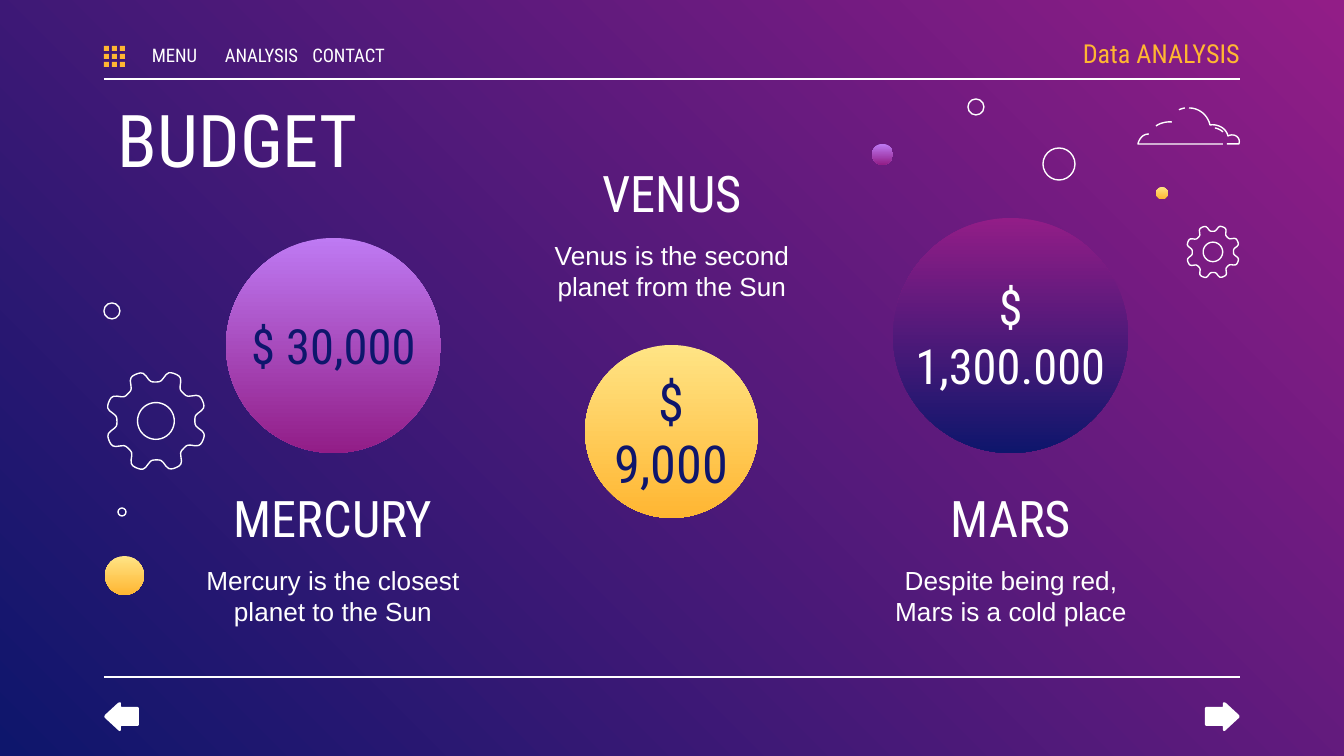
from math import comb, cos, pi, radians, sin, tanh

from lxml import etree
from pptx import Presentation
from pptx import util as u
from pptx.dml.color import RGBColor
from pptx.enum import shapes, text
from pptx.oxml.ns import qn

SCALE = u.Inches(10) / 1344  # EMU in one px

WHITE = RGBColor(0xFF, 0xFF, 0xFF)
NAVY = RGBColor(0x0E, 0x16, 0x6C)
MAGENTA = RGBColor(0x92, 0x1D, 0x87)
LILAC = RGBColor(0xBE, 0x7A, 0xF3)
CREAM = RGBColor(0xFF, 0xE4, 0x85)
AMBER = RGBColor(0xFF, 0xB6, 0x32)

PURPLE_FADE = (LILAC, MAGENTA)
GOLD_FADE = (CREAM, AMBER)
NIGHT_FADE = (MAGENTA, NAVY)

HEAD_FONT, BODY_FONT = "Roboto Condensed", "Arial"
LEFT, CENTER, RIGHT = text.PP_ALIGN.LEFT, text.PP_ALIGN.CENTER, text.PP_ALIGN.RIGHT
TOP, MIDDLE = text.MSO_ANCHOR.TOP, text.MSO_ANCHOR.MIDDLE


def px(*lengths):
    return [u.Emu(round(length * SCALE)) for length in lengths]


def bezier(points, steps=10):
    """Points along a Bezier curve of any degree, without its start."""
    degree = len(points) - 1
    if degree == 1:
        return points[1:]
    curve = []
    for step in range(1, steps + 1):
        t = step / steps
        weights = [comb(degree, i) * t**i * (1 - t) ** (degree - i) for i in range(degree + 1)]
        curve.append(tuple(sum(w * p[axis] for w, p in zip(weights, points)) for axis in (0, 1)))
    return curve


def trace(start, *segments):
    """Join segments, each a list of control points ending on its end point."""
    points = [start]
    for segment in segments:
        points += bezier([points[-1], *segment])
    return points


def ring(x, y, radius_at, steps=144):
    """Closed round contour whose radius depends on the angle."""
    angles = [2 * pi * step / steps for step in range(steps)]
    return [(x + radius_at(a) * cos(a), y + radius_at(a) * sin(a)) for a in angles]


class Sketch:
    def __init__(self, page):
        self.page = page
        self.target = page.shapes

    def group(self):
        self.target = self.page.shapes.add_group_shape().shapes

    def ungroup(self):
        self.target = self.page.shapes

    def fade(self, fill, colors, angle=270):
        fill.gradient()
        fill.gradient_angle = angle
        for stop, color in zip(fill.gradient_stops, colors):
            stop.color.rgb = color

    def paint(self, shape, fill=None, line=None):
        shape.shadow.inherit = False
        if fill is None:
            shape.fill.background()
        elif isinstance(fill, RGBColor):
            shape.fill.solid()
            shape.fill.fore_color.rgb = fill
        else:
            self.fade(shape.fill, fill)
        if line is None:
            shape.line.fill.background()
        else:
            shape.line.color.rgb = line
            shape.line.width = u.Pt(0.75)

    def rule(self, x1, x2, y):
        line = self.target.add_connector(shapes.MSO_CONNECTOR.STRAIGHT, *px(x1, y, x2, y))
        line.line.color.rgb = WHITE
        line.line.width = u.Pt(0.75)
        etree.SubElement(line._element.spPr, qn("a:effectLst"))

    def square(self, x, y, size, fill):
        self.paint(self.target.add_shape(shapes.MSO_SHAPE.RECTANGLE, *px(x, y, size, size)), fill)

    def circle(self, x, y, size, fill=None, line=None):
        self.paint(self.target.add_shape(shapes.MSO_SHAPE.OVAL, *px(x, y, size, size)), fill, line)

    def outline(self, *contours, close=False, fill=None, line=None):
        first, *others = [[px(*point) for point in contour] for contour in contours]
        builder = self.target.build_freeform(*first[0])
        builder.add_line_segments(first[1:], close=close)
        for contour in others:
            builder.move_to(*contour[0])
            builder.add_line_segments(contour[1:], close=close)
        self.paint(builder.convert_to_shape(), fill, line)

    def gear(self, x, y, radius):
        first_tooth = radians(22)

        def rim(angle):
            return radius * (0.88 + 0.12 * tanh(2 * cos(8 * (angle - first_tooth))))

        hole = ring(x, y, lambda angle: radius * 0.36)
        self.outline(ring(x, y, rim), hole, close=True, line=WHITE)

    def arrow(self, x, y, way):
        head = trace(
            (4, 13), [(17, 1)], [(18, 0), (17, -2)], [(4, -14)],
            [(2, -15), (1, -15), (1, -13)], [(1, -11)], [(1, -10), (0, -10)],
            [(-15, -10)], [(-17, -10), (-17, -8)], [(-17, 7)],
            [(-17, 9), (-15, 9)], [(0, 9)], [(1, 9), (1, 10)], [(1, 12)],
            [(1, 14), (2, 15), (4, 13)])
        self.outline([(x + way * dx, y + dy) for dx, dy in head], close=True, fill=WHITE)

    def label(self, words, x, y, width, height, size, color=WHITE, font=HEAD_FONT,
              align=CENTER, anchor=MIDDLE, left=13, right=13):
        box = self.target.add_textbox(*px(x, y, width, height))
        frame = box.text_frame
        frame.word_wrap = True
        frame.auto_size = text.MSO_AUTO_SIZE.NONE
        frame.vertical_anchor = anchor
        frame.margin_left, frame.margin_right = px(left, right)
        frame.margin_top = frame.margin_bottom = px(13)[0]
        para = frame.paragraphs[0]
        para.alignment = align
        span = para.add_run()
        span.text = words
        span.font.size = u.Pt(size)
        span.font.name = font
        span.font.color.rgb = color


def main():
    deck = Presentation()
    deck.slide_width, deck.slide_height = px(1344, 756)
    page = deck.slides.add_slide(deck.slide_layouts[6])
    art = Sketch(page)
    art.fade(page.background.fill, NIGHT_FADE, angle=225)

    # Frame rules and title
    for y in (79, 677):
        art.rule(104, 1240, y)
    art.label("BUDGET", 105, 82, 1134, 89, 39, align=LEFT, anchor=TOP)

    # Planets with their amounts
    for amount, x, y, size, fill, points, color in (
        ("$ 30,000", 226, 238, 215, PURPLE_FADE, 26, NAVY),
        ("$ 9,000", 585, 345, 173, GOLD_FADE, 28, NAVY),
        ("$ 1,300.000", 893, 218, 235, NIGHT_FADE, 26, WHITE),
    ):
        art.circle(x, y, size, fill)
        art.label(amount, x, y, size, size, points, color)

    # Planet names and descriptions
    for name, about, x, y in (
        ("MERCURY", "Mercury is the closest planet to the Sun", 188, 495),
        ("MARS", "Despite being red, Mars is a cold place", 866, 495),
        ("VENUS", "Venus is the second planet from the Sun", 527, 170),
    ):
        art.label(name, x, y, 290, 44, 27)
        art.label(about, x, y + 56, 290, 79, 14, font=BODY_FONT, anchor=TOP)

    # Header: section name, menu, dot grid
    art.label("Data ANALYSIS", 1038, 31, 202, 44, 14, AMBER, align=RIGHT, right=0)
    for column, item in enumerate(("MENU", "ANALYSIS", "CONTACT")):
        art.label(item, 136 + 87 * column, 40, 77, 31, 10, left=0, right=0)
    art.group()
    for column in range(3):
        for row in range(3):
            art.square(104 + 8 * column, 46 + 8 * row, 5, AMBER)
    art.ungroup()

    # Footer arrows
    art.arrow(1222, 717, 1)
    art.arrow(122, 717, -1)

    # Cloud
    art.group()
    for stroke in (
        trace((1189, 108), [(1200, 108), (1208, 116), (1210, 125)],
              [(1218, 124), (1226, 128), (1228, 136)],
              [(1234, 133), (1241, 137), (1239, 144)], [(1227, 144)]),
        trace((1185, 108), [(1185, 108), (1180, 109), (1179, 110)]),
        trace((1223, 144), [(1138, 144)], [(1138, 144), (1140, 134), (1149, 134)]),
        trace((1215, 128), [(1215, 128), (1220, 129), (1223, 132)]),
        trace((1172, 122), [(1172, 122), (1163, 121), (1156, 126)]),
    ):
        art.outline(stroke, line=WHITE)
    art.ungroup()

    # Gears
    art.gear(156, 421, 51)
    art.gear(1213, 252, 27)

    # Small outlined and filled circles
    for x, y, size in ((968, 99, 16), (104, 303, 16), (1043, 148, 32), (118, 508, 8)):
        art.circle(x, y, size, line=WHITE)
    for x, y, size, fill in ((105, 556, 39, GOLD_FADE), (1156, 187, 12, GOLD_FADE),
                             (872, 144, 21, PURPLE_FADE)):
        art.circle(x, y, size, fill)

    deck.save("out.pptx")


if __name__ == "__main__":
    main()
